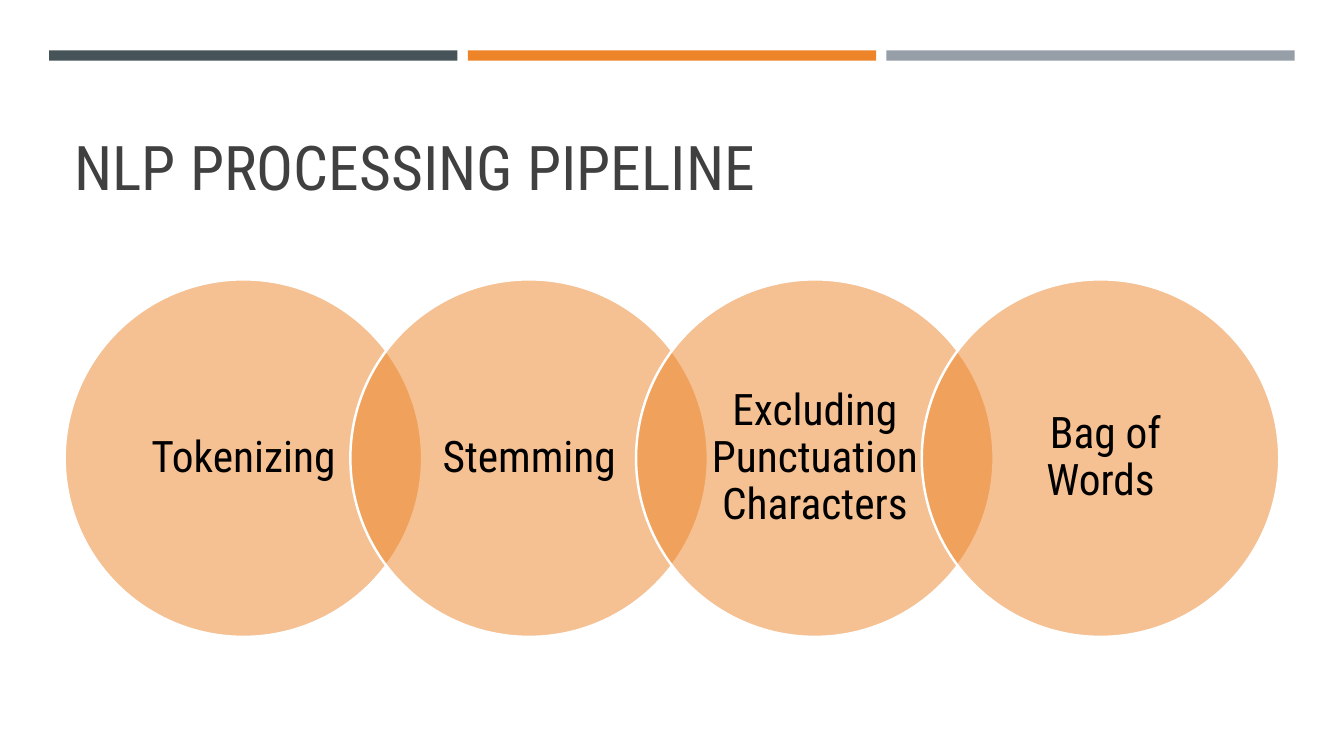
from lxml.etree import SubElement
from pptx import Presentation
from pptx.dml.color import RGBColor
from pptx.enum.shapes import MSO_SHAPE
from pptx.enum.text import MSO_ANCHOR, PP_ALIGN
from pptx.oxml.ns import qn
from pptx.util import Cm, Pt

FONT = "Roboto Condensed"
ORANGE = "ED8428"
BAR_COLORS = ["465359", ORANGE, "969FA7"]
STEPS = ["Tokenizing", "Stemming", "Excluding Punctuation Characters",
         "\u00a0Bag of Words"]


def color(hex_code):
    """Turn a hex string into a colour."""
    return RGBColor.from_string(hex_code)


def add_filled(page, kind, left, top, width, height, fill):
    """Add a flat shape without an outline; lengths in centimetres."""
    shape = page.shapes.add_shape(kind, Cm(left), Cm(top), Cm(width), Cm(height))
    shape.shadow.inherit = False
    shape.fill.solid()
    shape.fill.fore_color.rgb = color(fill)
    shape.line.fill.background()
    return shape


def add_text(page, text, left, top, width, height, size, hex_code,
             align, anchor, side=0.25, edge=0.13):
    """Add a wrapped text box with one paragraph; lengths in centimetres."""
    box = page.shapes.add_textbox(Cm(left), Cm(top), Cm(width), Cm(height))
    frame = box.text_frame
    frame.word_wrap = True
    frame.vertical_anchor = anchor
    frame.margin_left = frame.margin_right = Cm(side)
    frame.margin_top = frame.margin_bottom = Cm(edge)
    para = frame.paragraphs[0]
    para.text = text
    para.alignment = align
    para.line_spacing = 0.9
    para.font.name = FONT
    para.font.size = Pt(size)
    para.font.color.rgb = color(hex_code)


def add_step(page, text, left, top, diameter):
    """Add a half-transparent circle with its label in the inscribed square."""
    circle = add_filled(page, MSO_SHAPE.OVAL, left, top, diameter, diameter, ORANGE)
    circle.line.color.rgb = color("FFFFFF")
    circle.line.width = Pt(1.75)
    fill_color = circle.fill._xPr.find(qn("a:solidFill"))[0]
    SubElement(fill_color, qn("a:alpha")).set("val", "50000")

    side = diameter / 2 ** 0.5
    inset = (diameter - side) / 2
    add_text(page, text, left + inset, top + inset, side, side, 31, "000000",
             PP_ALIGN.CENTER, MSO_ANCHOR.MIDDLE, side=0.5, edge=0.1)


def main():
    """Build the pipeline slide and save it."""
    deck = Presentation()
    deck.slide_width, deck.slide_height = Cm(33.87), Cm(19.05)
    page = deck.slides.add_slide(deck.slide_layouts[6])

    for index, fill in enumerate(BAR_COLORS):
        add_filled(page, MSO_SHAPE.RECTANGLE, 1.24 + index * 10.55, 1.27,
                   10.29, 0.26, fill)

    add_text(page, "NLP PROCESSING PIPELINE", 1.63, 1.96, 30.63, 3.3, 44,
             "404040", PP_ALIGN.LEFT, MSO_ANCHOR.BOTTOM)

    for index, text in enumerate(STEPS):
        add_step(page, text, 1.63 + index * 7.2, 7.04, 9.01)

    deck.save("out.pptx")


main()
